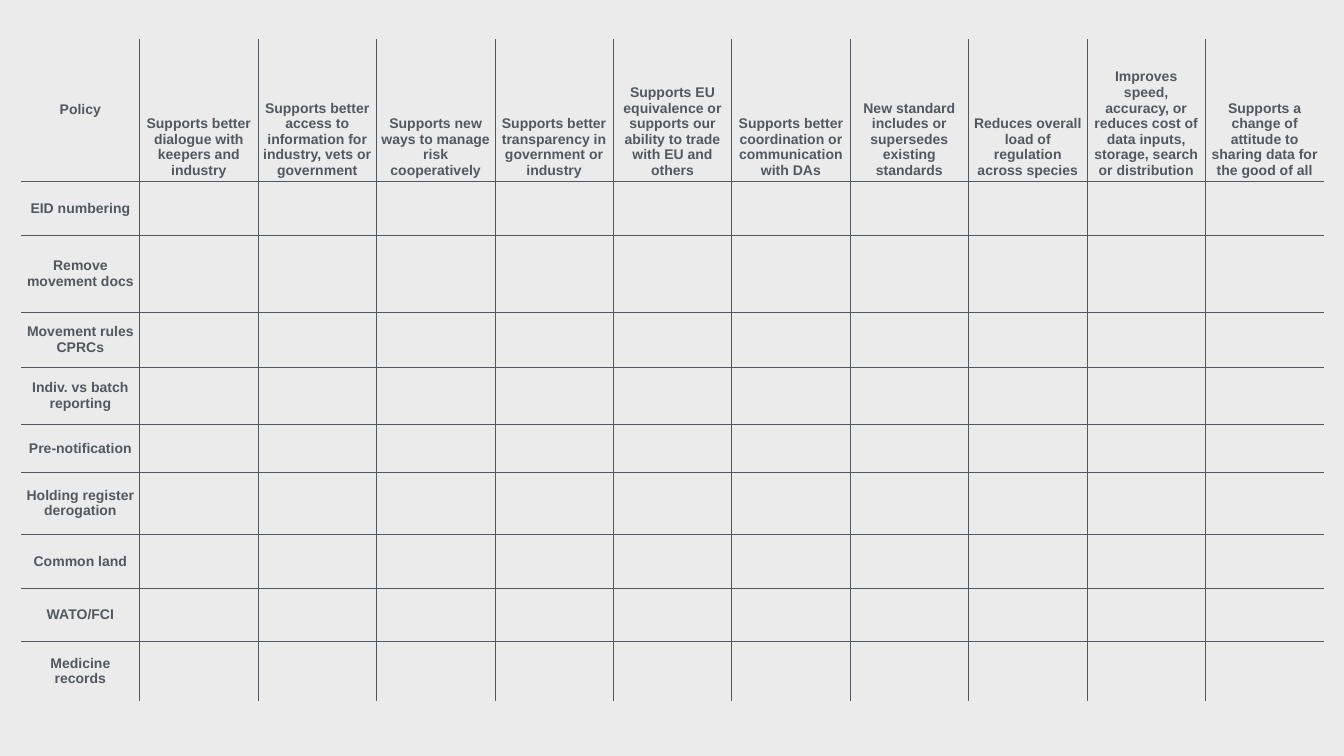
"""Build a blank scoring grid of livestock policies against benefits."""
import pptx
import pptx.dml.color
import pptx.enum.text
import pptx.oxml
import pptx.oxml.ns
import pptx.util

Inches = pptx.util.Inches
INK, PAPER = "53585F", "EBEBEB"
LEFT, TOP, COL_W = 0.42, 0.78, 2.35
HEADER_H = 2.81

BENEFITS = [
    "Supports better dialogue with keepers and industry",
    "Supports better access to information for industry, vets or government",
    "Supports new ways to manage risk cooperatively",
    "Supports better transparency in government or industry",
    "Supports EU equivalence or supports our ability to trade with EU and others",
    "Supports better coordination or communication with DAs",
    "New standard includes or supersedes existing standards",
    "Reduces overall load of regulation across species",
    "Improves speed, accuracy, or reduces cost of data inputs, storage, search or distribution",
    "Supports a change of attitude to sharing data for the good of all",
]
POLICIES = [
    ("EID numbering", 1.08),
    ("Remove movement docs", 1.53),
    ("Movement rules CPRCs", 1.09),
    ("Indiv. vs batch reporting", 1.13),
    ("Pre-notification", 0.95),
    ("Holding register derogation", 1.23),
    ("Common land", 1.07),
    ("WATO/FCI", 1.05),
    ("Medicine records", 1.19),
]
FONT = {"name": "Arial", "size": pptx.util.Pt(20), "bold": True}


def rgb(value):
    """Return the colour for a hex string."""
    return pptx.dml.color.RGBColor.from_string(value)


def write(cell, text, anchor):
    """Put centred label text in a cell."""
    cell.vertical_anchor = anchor
    p = cell.text_frame.paragraphs[0]
    p.alignment = pptx.enum.text.PP_ALIGN.CENTER
    r = p.add_run()
    r.text = text
    for name, value in FONT.items():
        setattr(r.font, name, value)
    r.font.color.rgb = rgb(INK)


def draw_borders(cell, inner):
    """Rule the inner sides of a cell and leave the outer sides open."""
    tc_pr = cell._tc.get_or_add_tcPr()
    for i, (side, ruled) in enumerate(inner.items()):
        paint = (f'<a:solidFill><a:srgbClr val="{INK}"/></a:solidFill>'
                 if ruled else "<a:noFill/>")
        ln = pptx.oxml.parse_xml(
            f'<a:ln{side} {pptx.oxml.ns.nsdecls("a")} w="12700">{paint}</a:ln{side}>')
        tc_pr.insert(i, ln)


def main():
    """Create the slide and save it."""
    prs = pptx.Presentation()
    prs.slide_width, prs.slide_height = Inches(26.67), Inches(15)
    s = prs.slides.add_slide(prs.slide_layouts[6])
    s.background.fill.solid()
    s.background.fill.fore_color.rgb = rgb(PAPER)

    heights = [HEADER_H] + [height for _, height in POLICIES]
    n_rows, n_cols = len(heights), len(BENEFITS) + 1
    table = s.shapes.add_table(
        n_rows, n_cols, Inches(LEFT), Inches(TOP),
        Inches(COL_W * n_cols), Inches(sum(heights))).table
    table.first_row = table.horz_banding = False
    for row, height in zip(table.rows, heights):
        row.height = Inches(height)
    for column in table.columns:
        column.width = Inches(COL_W)

    for i in range(n_rows):
        for j in range(n_cols):
            cell = table.cell(i, j)
            cell.fill.background()
            draw_borders(cell, {"L": j > 0, "R": j < n_cols - 1,
                                "T": i > 0, "B": i < n_rows - 1})

    anchor = pptx.enum.text.MSO_ANCHOR
    for i, text in enumerate(["Policy"] + [name for name, _ in POLICIES]):
        write(table.cell(i, 0), text, anchor.MIDDLE)
    for j, text in enumerate(BENEFITS, 1):
        write(table.cell(0, j), text, anchor.BOTTOM)
    prs.save("out.pptx")


if __name__ == "__main__":
    main()
